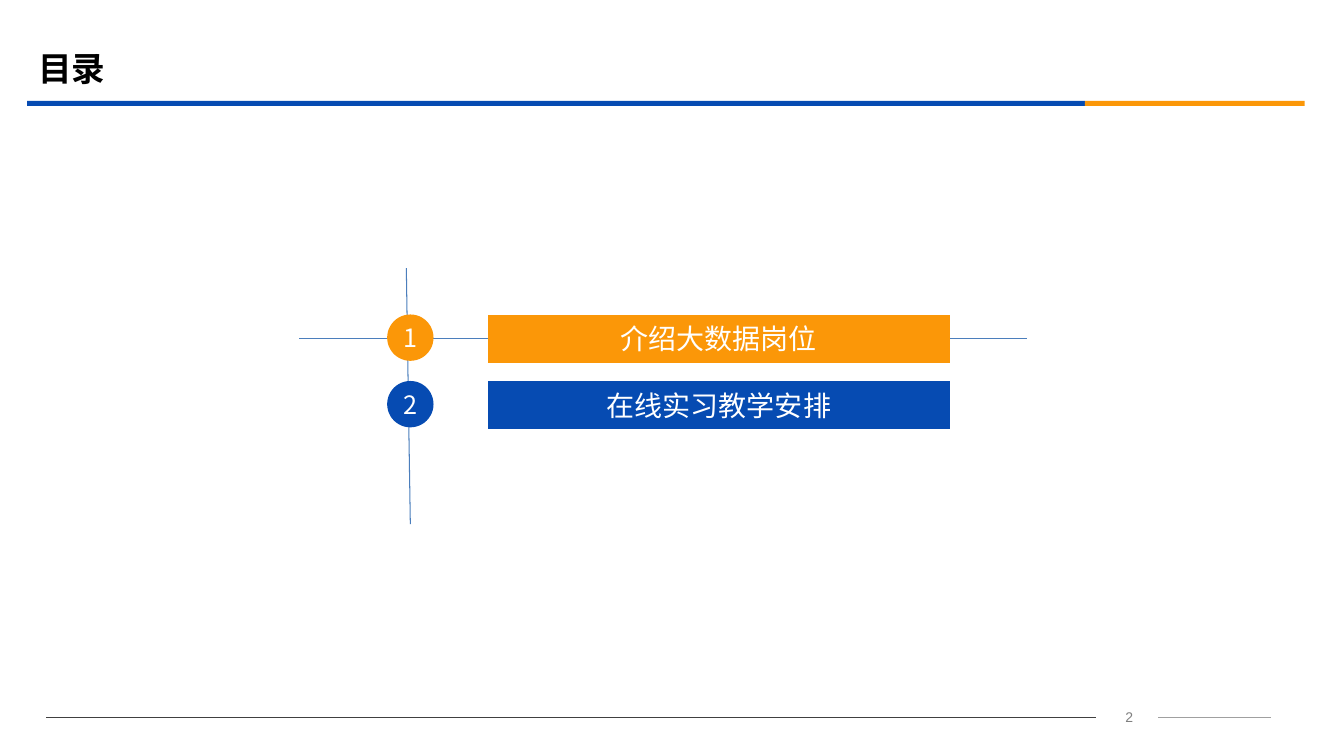
from dataclasses import dataclass

import pptx
import pptx.dml.color
import pptx.enum.shapes
import pptx.enum.text
import pptx.oxml
import pptx.oxml.ns
import pptx.util

RGBColor = pptx.dml.color.RGBColor
ShapeType = pptx.enum.shapes.MSO_SHAPE
Align = pptx.enum.text.PP_ALIGN

BLUE = RGBColor(0x06, 0x4B, 0xB2)
ORANGE = RGBColor(0xFB, 0x97, 0x08)
AXIS_BLUE = RGBColor(0x4B, 0x7E, 0xBC)
DARK_GRAY = RGBColor(0x40, 0x40, 0x40)
LIGHT_GRAY = RGBColor(0xA0, 0xA0, 0xA0)
NUMBER_GRAY = RGBColor(0x7F, 0x7F, 0x7F)
BLACK = RGBColor(0, 0, 0)
WHITE = RGBColor(0xFF, 0xFF, 0xFF)

CJK_FONT = "Noto Sans CJK SC"
EMU_PER_PX = 9144  # 100 px to the inch
FIRST_TOP, ROW_STEP = 312, 66


@dataclass(frozen=True)
class Box:
    left: int
    top: int
    width: int
    height: int

    def emu(self) -> list[int]:
        return [px(n) for n in (self.left, self.top, self.width, self.height)]


@dataclass(frozen=True)
class Line:
    start: tuple[int, int]
    end: tuple[int, int]
    color: RGBColor


@dataclass(frozen=True)
class Topic:
    title: str
    color: RGBColor


FOOTER_LINES = [
    Line((1149, 712), (1261, 712), LIGHT_GRAY),
    Line((46, 712), (1087, 712), DARK_GRAY),
]
AXES = [
    Line((403, 266), (407, 520), AXIS_BLUE),
    Line((297, 336), (1019, 336), AXIS_BLUE),
]
TOPICS = [Topic("介绍大数据岗位", ORANGE), Topic("在线实习教学安排", BLUE)]


def px(length: int) -> int:
    return pptx.util.Emu(length * EMU_PER_PX)


def write_text(shape, text: str, size: int, color: RGBColor, align=Align.CENTER,
               font_name: str = CJK_FONT, bold: bool = False, wrap: bool = False) -> None:
    frame = shape.text_frame
    frame.text = text
    frame.word_wrap = wrap
    frame.auto_size = pptx.enum.text.MSO_AUTO_SIZE.NONE
    frame.vertical_anchor = pptx.enum.text.MSO_ANCHOR.MIDDLE
    paragraph = frame.paragraphs[0]
    paragraph.alignment = align
    font = paragraph.font
    font.name, font.size, font.bold = font_name, pptx.util.Pt(size), bold
    font.color.rgb = color
    # East Asian glyphs take their typeface from a:ea, next to a:latin
    properties = paragraph._p.pPr.find(pptx.oxml.ns.qn("a:defRPr"))
    east_asian = pptx.oxml.parse_xml(
        f'<a:ea {pptx.oxml.ns.nsdecls("a")} typeface="{font_name}"/>')
    properties.find(pptx.oxml.ns.qn("a:latin")).addnext(east_asian)


def add_filled(slide, kind, box: Box, color: RGBColor):
    shape = slide.shapes.add_shape(kind, *box.emu())
    shape.shadow.inherit = False
    shape.fill.solid()
    shape.fill.fore_color.rgb = color
    shape.line.fill.background()
    return shape


def add_line(slide, line: Line) -> None:
    connector = slide.shapes.add_connector(
        pptx.enum.shapes.MSO_CONNECTOR.STRAIGHT,
        *[px(n) for n in line.start + line.end])
    connector.line.color.rgb = line.color
    connector.line.width = pptx.util.Pt(0.75)
    connector._element.spPr.append(
        pptx.oxml.parse_xml(f'<a:effectLst {pptx.oxml.ns.nsdecls("a")}/>'))


def add_topic(slide, index: int, topic: Topic) -> None:
    top = FIRST_TOP + index * ROW_STEP
    circle = add_filled(slide, ShapeType.OVAL, Box(384, top, 46, 46), topic.color)
    write_text(circle, str(index + 1), 18, WHITE)
    bar = add_filled(slide, ShapeType.ACTION_BUTTON_CUSTOM,
                     Box(484, top, 458, 48), topic.color)
    write_text(bar, topic.title, 20, WHITE)


def add_title(slide) -> None:
    title = slide.shapes.title
    title.left, title.top, title.width, title.height = Box(28, 39, 1200, 58).emu()
    write_text(title, "目录", 24, BLACK, align=Align.LEFT, bold=True, wrap=True)


def main() -> None:
    presentation = pptx.Presentation()
    presentation.slide_width, presentation.slide_height = px(1333), px(750)
    slide = presentation.slides.add_slide(presentation.slide_layouts[5])

    add_title(slide)
    add_filled(slide, ShapeType.RECTANGLE, Box(27, 100, 1049, 5), BLUE)
    add_filled(slide, ShapeType.RECTANGLE, Box(1076, 100, 218, 5), ORANGE)

    for line in FOOTER_LINES + AXES:
        add_line(slide, line)
    for index, topic in enumerate(TOPICS):
        add_topic(slide, index, topic)

    page_number = slide.shapes.add_textbox(*Box(1089, 699, 62, 25).emu())
    write_text(page_number, "2", 10, NUMBER_GRAY, font_name="Arial", wrap=True)

    presentation.save("out.pptx")


if __name__ == "__main__":
    main()
